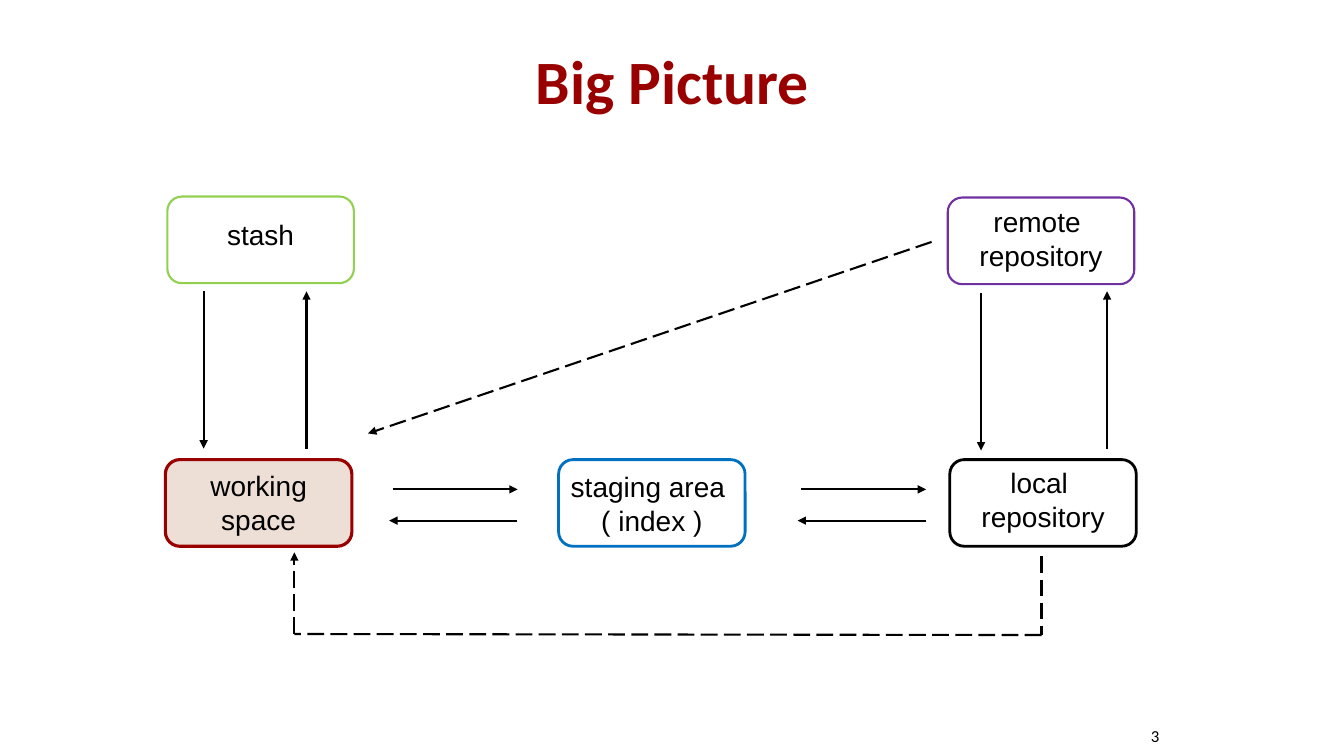
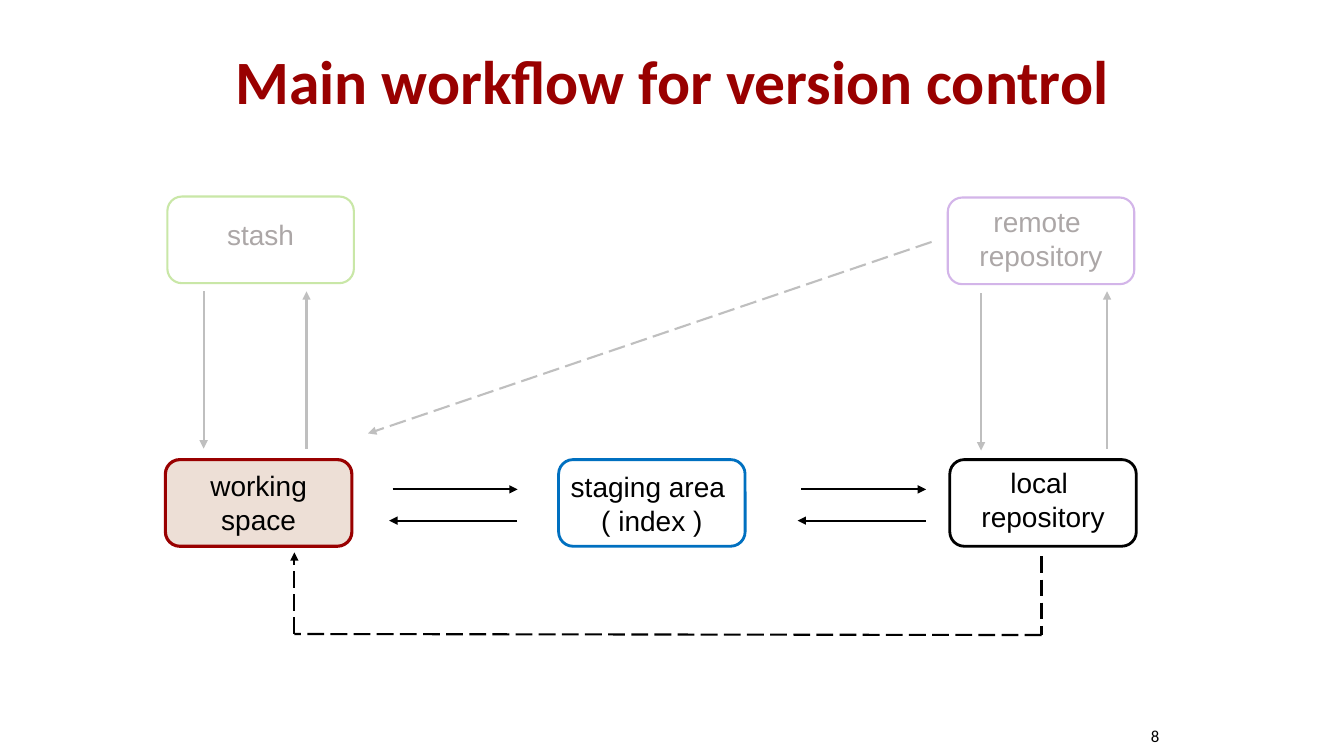
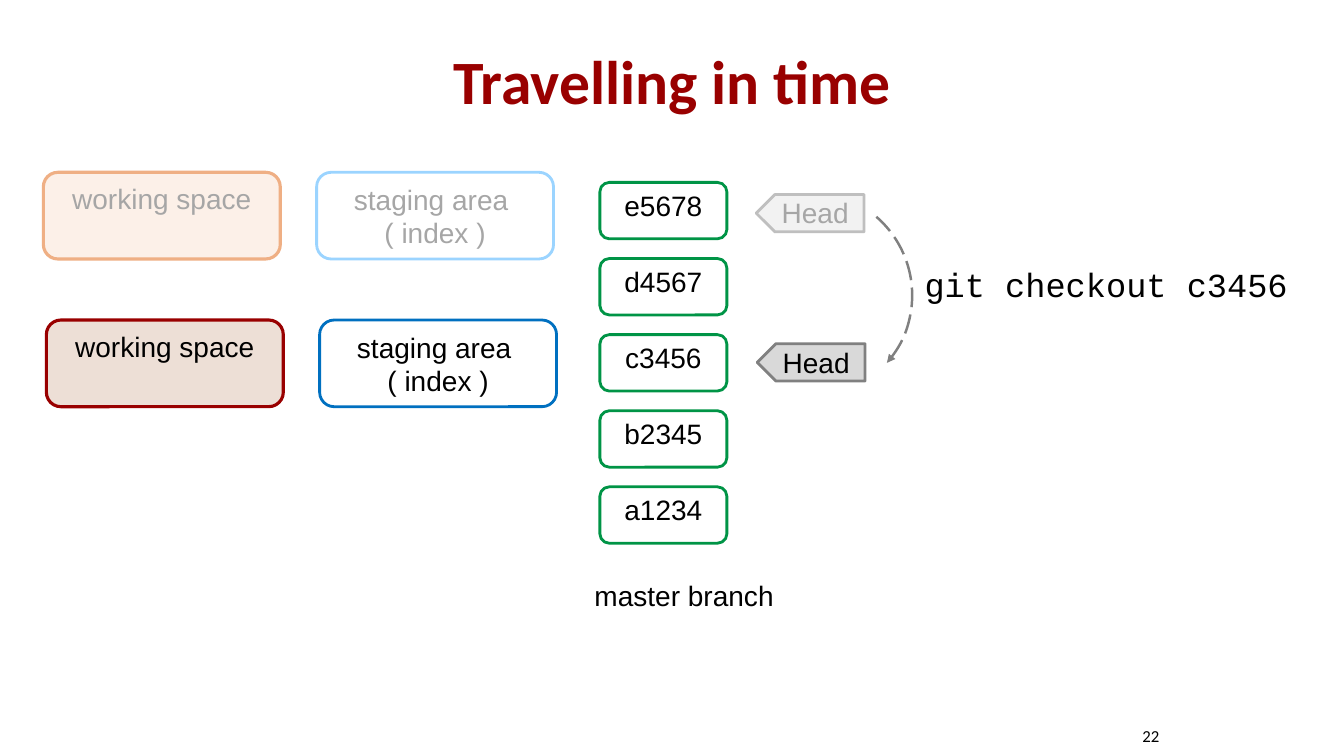
"""Build three slides on version control, laid out on a grid of tenth-inch cells."""
from lxml import etree
from pptx import Presentation
from pptx import util as u
from pptx.dml.color import RGBColor
from pptx.enum import dml, shapes, text
from pptx.oxml import ns

CELL = u.Inches(0.1)
RED, BLACK, WHITE, BLUE = "990000", "000000", "FFFFFF", "0070C0"
GREEN, SAND, GREY = "009446", "EDDFD6", "808080"
PALE = "BFBFBF"
KIND = shapes.MSO_SHAPE
ALIGN = text.PP_ALIGN
MID = text.MSO_ANCHOR.MIDDLE


def span(*cells):
    """Turn grid cells into lengths."""
    return [round(n * CELL) for n in cells]


def tint(hue):
    """Turn a hex string into a colour."""
    return RGBColor.from_string(hue)


def put(thing, **form):
    """Set each format value on a thing."""
    for key, value in form.items():
        setattr(thing, key, value)


def stroke(item, hue, weight, dash=False, head=False):
    """Style an outline, with an arrowhead at its end if asked."""
    item.line.color.rgb = tint(hue)
    item.line.width = u.Pt(weight)
    if dash:
        item.line.dash_style = dml.MSO_LINE.LONG_DASH
    if head:
        etree.SubElement(item.get_or_add_ln(), ns.qn("a:tailEnd"), type="triangle")


def label(page, spot, words, size=20, hue=BLACK, font="Arial", bold=False,
          align=ALIGN.CENTER, **frame):
    """Write one paragraph per line of words."""
    body = page.shapes.add_textbox(*span(*spot)).text_frame
    put(body, word_wrap=True, **frame)
    for i, line in enumerate(words.split("\n")):
        para = body.paragraphs[0] if i == 0 else body.add_paragraph()
        para.alignment = align
        run = para.add_run()
        run.text = line
        put(run.font, size=u.Pt(size), name=font, bold=bold)
        run.font.color.rgb = tint(hue)


def shape(page, kind, spot, fill, edge, weight, turn=0, **line):
    """Draw a preset shape without shadow."""
    item = page.shapes.add_shape(kind, *span(*spot))
    item.shadow.inherit = False
    item.rotation = turn
    if fill:
        item.fill.solid()
        item.fill.fore_color.rgb = tint(fill)
    else:
        item.fill.background()
    stroke(item, edge, weight, **line)


def card(page, spot, words, edge, ink=BLACK, fill=WHITE, weight=2, drop=0.3, spill=0):
    """Draw a rounded box with a label that may spill past its sides."""
    left, top, wide, high = spot
    shape(page, KIND.ROUNDED_RECTANGLE, spot, fill, edge, weight)
    deep = 1.1 + 3.3 * len(words.split("\n"))
    label(page, (left - spill, top + drop, wide + 2 * spill, deep), words, hue=ink)


def arrow(page, start, end, hue=BLACK, dash=False, head=True):
    """Draw a straight line from start to end."""
    item = page.shapes.add_connector(shapes.MSO_CONNECTOR.STRAIGHT, *span(*start, *end))
    stroke(item, hue, 1.5, dash, head)
    etree.SubElement(item.element.spPr, ns.qn("a:effectLst"))


def start(deck, title, number):
    """Add a page with its title and number."""
    page = deck.slides.add_slide(deck.slide_layouts[6])
    label(page, (21.7, 1.7, 90, 12.5), title, 44, RED, "Calibri", True,
          vertical_anchor=MID, margin_left=0, margin_right=0)
    label(page, (91.7, 71, 23.3, 4), number, 12, font="Calibri", align=ALIGN.RIGHT,
          vertical_anchor=MID, margin_left=0, margin_right=0,
          margin_top=0, margin_bottom=0)
    return page


def flow(page, lime="92D050", plum="7030A0", ink=BLACK, hue=BLACK):
    """Draw the work areas; the colours style the stash and remote parts."""
    wide, high, low = 18.5, 8.6, 45.6
    card(page, (16.4, low, wide, high), "working space", RED, fill=SAND,
         weight=2.25, drop=0.4)
    card(page, (16.6, 19.5, wide, high), "stash", lime, ink, weight=1.5, drop=1.6)
    card(page, (55.4, low, wide, high), "staging area \n( index )", BLUE,
         drop=0.5, spill=1.5)
    card(page, (94.2, low, wide, high), "local \nrepository", BLACK,
         drop=0.1, spill=1.5)
    card(page, (94, 19.6, wide, high), "remote \nrepository", plum, ink,
         weight=1.5, drop=0.2, spill=1.5)

    for down, up, shift in ((20.2, 30.4, 0), (97.3, 109.8, 0.2)):
        arrow(page, (down, 28.9 + shift), (down, 44.5 + shift), hue)
        arrow(page, (up, 44.5), (up, 28.9), hue)
    arrow(page, (92.4, 24), (36.5, 43), hue, dash=True)

    for left in (38.6, 79.1):
        arrow(page, (left + 0.35, 48.55), (left + 12.75, 48.55))
        arrow(page, (left + 12.7, 51.65), (left, 51.65))

    bend = [(103.3, 55.2), (103.3, 63), (29.2, 62.9), (29.2, 54.8)]
    for i, (here, there) in enumerate(zip(bend, bend[1:])):
        arrow(page, here, there, dash=True, head=i == 2)


def state(page, left, top, rim, sky, fill, ink):
    """Draw the working space and staging area at one moment."""
    wide, high = 23.5, 8.6
    card(page, (left, top, wide, high), "working space", rim, ink, fill, 2.25, 0.4)
    card(page, (left + 27.1, top, wide, high), "staging area \n( index )", sky, ink,
         drop=0.5, spill=2)


def head(page, left, top, fill, edge, ink):
    """Draw a tag that points left at a commit."""
    shape(page, KIND.PENTAGON, (left, top, 10.7, 3.7), fill, edge, 2, turn=180)
    label(page, (left + 0.8, top - 0.35, 10.1, 4.4), "Head", hue=ink)


def travel(page):
    """Draw the commits and the move of the head tag."""
    state(page, 4.3, 17.1, "EFAF84", "9BD4FF", "FCF0E8", "A6A6A6")
    state(page, 4.6, 31.75, RED, BLUE, SAND, BLACK)
    for i, name in enumerate(("e5678", "d4567", "c3456", "b2345", "a1234")):
        card(page, (59.5, 18.1 + 7.55 * i, 12.6, 5.6), name, GREEN, drop=0.1, spill=1)
    label(page, (56.4, 56.9, 22.9, 4.4), "master branch")
    head(page, 75, 19.3, "F2F2F2", PALE, "A6A6A6")
    head(page, 75.1, 34.1, "D9D9D9", GREY, BLACK)
    shape(page, KIND.ARC, (69.9, 19, 20.6, 20.5), None, GREY, 1.75, turn=41,
          dash=True, head=True)
    label(page, (88.6, 25.7, 42.2, 9.1), "git checkout c3456", 24, font="Courier New")


def main():
    """Build and save the deck."""
    deck = Presentation()
    put(deck, slide_width=u.Inches(13.33), slide_height=u.Inches(7.5))
    flow(start(deck, "Big Picture", "3"))
    flow(start(deck, "Main workflow for version control", "8"),
         "C9E7A7", "D3B5E9", "ACA7A7", PALE)
    travel(start(deck, "Travelling in time", "22"))
    deck.save("out.pptx")


main()
